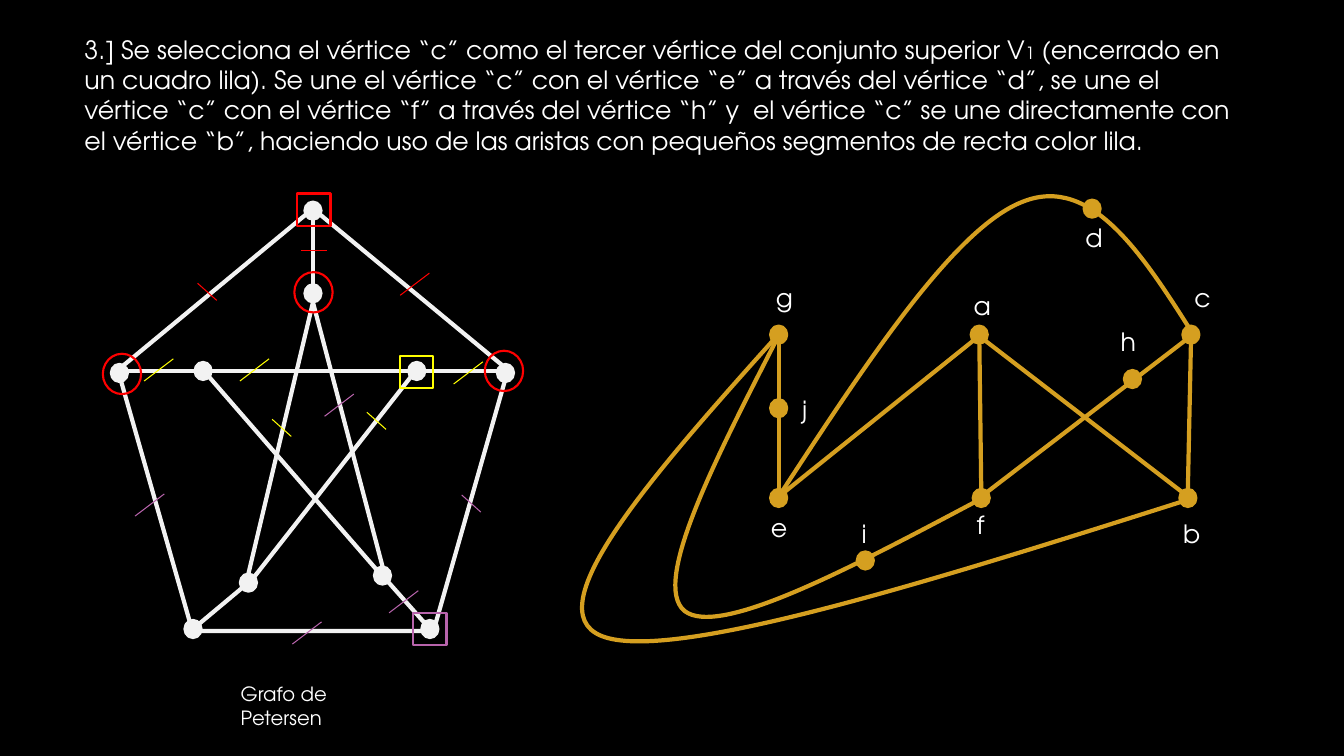
from lxml import etree
from pptx import Presentation
from pptx.dml.color import RGBColor
from pptx.enum.shapes import MSO_CONNECTOR, MSO_SHAPE
from pptx.enum.text import MSO_AUTO_SIZE
from pptx.oxml.ns import qn
from pptx.util import Inches, Pt

STRAIGHT = MSO_CONNECTOR.STRAIGHT
OVAL, SQUARE, PENTAGON = MSO_SHAPE.OVAL, MSO_SHAPE.RECTANGLE, MSO_SHAPE.REGULAR_PENTAGON
FIT = MSO_AUTO_SIZE.SHAPE_TO_FIT_TEXT

THEME = {
    "font": "TeX Gyre Adventor",
    "black": "000000", "white": "FFFFFF", "pale": "F2F2F2", "gold": "D59F20",
    "red": "FF0000", "yellow": "FFFF00", "lilac": "B864AC",
    "body": 18, "small": 14, "subscript": 12,
    "edge": 3, "outline": 1.5, "tick": 0.75,
}

# Content
STEP_TEXT = [
    ("3.] Se selecciona el vértice “c” como el tercer vértice del conjunto superior V", "body"),
    ("1", "subscript"),
    (" (encerrado en un cuadro lila). Se une el vértice “c” con el vértice “e” a través del "
     "vértice “d”, se une el vértice “c” con el vértice “f” a través del vértice “h” y  el "
     "vértice “c” se une directamente con el vértice “b”, haciendo uso de las aristas con "
     "pequeños segmentos de recta color lila.", "body"),
]
CAPTION = [("Grafo de Petersen", "small")]

# Left and top of each vertex dot; the outer ring and inner star of the Petersen graph
PETERSEN = {
    "outer top": (3.02, 2), "outer left": (1.1, 3.61), "outer right": (4.93, 3.61),
    "outer low right": (4.18, 6.15), "outer low left": (1.83, 6.15),
    "inner left": (1.93, 3.59), "inner top": (3.02, 2.82), "inner right": (4.05, 3.59),
    "inner low left": (2.38, 5.69), "inner low right": (3.71, 5.62),
}
# Each edge: start vertex, side it leaves, end vertex, side it reaches
PETERSEN_EDGES = [
    ("outer top", "", "inner top", ""),
    ("outer left", "above", "inner left", ""),
    ("inner right", "", "outer right", "above"),
    ("outer low left", "", "inner low left", ""),
    ("outer low right", "", "inner low right", ""),
    ("inner left", "se", "inner low right", "nw"),
    ("inner top", "s", "inner low right", "n"),
    ("inner top", "s", "inner low left", "n"),
    ("inner left", "e", "inner right", "w"),
    ("inner right", "sw", "inner low left", "ne"),
]

BIPARTITE = {
    "a": (9.63, 3.23), "b": (11.7, 4.85), "c": (11.73, 3.23), "d": (10.75, 1.98),
    "e": (7.64, 4.85), "f": (9.65, 4.85), "g": (7.64, 3.23), "h": (11.15, 3.67),
    "i": (8.5, 5.47), "j": (7.64, 3.96),
}
BIPARTITE_EDGES = [
    ("g", "s", "e", "n"), ("a", "", "f", "n"), ("e", "ne", "a", "sw"),
    ("a", "se", "b", "nw"), ("c", "s", "b", "n"), ("f", "ne", "c", "sw"),
]
# Frame (left, top, right, bottom) and Bézier points: start, then two controls and an end per span
CURVES = [
    ((6.7, 3.32, 9.73, 6.11),
     [(7.73, 3.32), (7.1, 4.55), (6.46, 5.78), (6.79, 6.06), (7.13, 6.33), (8.43, 5.64), (9.73, 4.95)]),
    ((5.78, 3.31, 11.81, 6.36),
     [(7.73, 3.31), (6.51, 4.67), (5.29, 6.04), (5.97, 6.31), (6.65, 6.58), (9.23, 5.77), (11.81, 4.95)]),
    ((7.73, 1.94, 11.83, 4.92),
     [(7.73, 4.92), (8.6, 3.59), (9.47, 2.26), (10.15, 2), (10.83, 1.73), (11.34, 2.53), (11.84, 3.32)]),
]
# Label boxes: left, top, width
LABELS = {
    "a": (9.56, 2.83, 0.32), "b": (11.64, 5.09, 0.34), "c": (11.75, 2.75, 0.31),
    "d": (10.67, 2.16, 0.34), "e": (7.55, 5.03, 0.33), "f": (9.59, 5, 0.28),
    "g": (7.6, 2.75, 0.32), "h": (11.02, 3.19, 0.34), "i": (8.45, 5.09, 0.26),
    "j": (7.86, 3.86, 0.26),
}

# Marks on the Petersen graph, by left and top
SQUARES = {"red": (2.95, 1.92), "yellow": (3.97, 3.53), "lilac": (4.1, 6.08)}
CIRCLES = [(1.02, 3.51), (2.92, 2.7), (4.81, 3.48)]
# Tick marks, by left end
TICKS = {
    ("red", "rising"): [(3.97, 2.93)],
    ("red", "falling"): [(1.96, 2.81)],
    ("red", "level"): [(2.99, 2.49)],
    ("yellow", "rising"): [(4.5, 3.81), (1.43, 3.78), (2.38, 3.78)],
    ("yellow", "falling"): [(3.64, 4.09), (2.7, 4.16)],
    ("lilac", "rising"): [(1.34, 5.12), (2.9, 6.39), (3.22, 4.13), (3.86, 6.08)],
    ("lilac", "falling"): [(4.58, 4.91)],
}
TICK_SPAN = {"rising": (0.29, -0.22), "falling": (0.19, 0.17), "level": (0.25, 0)}

DOT, SQUARE_SIZE, CIRCLE_SIZE = (0.17, 0.18), (0.33, 0.32), (0.38, 0.4)
SIDES = {"": (0, 0), "n": (0, -0.09), "s": (0, 0.09), "e": (0.09, 0), "w": (-0.09, 0),
         "ne": (0.06, -0.06), "nw": (-0.06, -0.06), "se": (0.06, 0.06), "sw": (-0.06, 0.06),
         "above": (0, -0.02)}


def color(name):
    return RGBColor.from_string(THEME[name])


def add_text(page, runs, left, top, width, height, wrap=True):
    box = page.shapes.add_textbox(Inches(left), Inches(top), Inches(width), Inches(height))
    box.text_frame.word_wrap = wrap
    box.text_frame.auto_size = FIT
    para = box.text_frame.paragraphs[0]
    for text, size in runs:
        span = para.add_run()
        span.text = text
        span.font.name = THEME["font"]
        span.font.size = Pt(THEME[size])
        span.font.color.rgb = color("white")


def style_shape(shape, line, weight, fill=None):
    shape.shadow.inherit = False
    shape.line.color.rgb = color(line)
    shape.line.width = Pt(THEME[weight])
    if fill:
        shape.fill.solid()
        shape.fill.fore_color.rgb = color(fill)
    else:
        shape.fill.background()


def add_figure(holder, kind, corner, size, line, weight="outline", fill=None):
    shape = holder.shapes.add_shape(kind, *map(Inches, (*corner, *size)))
    style_shape(shape, line, weight, fill)


def add_line(holder, start, end, line, weight="edge"):
    connector = holder.shapes.add_connector(STRAIGHT, *map(Inches, (*start, *end)))
    connector.line.color.rgb = color(line)
    connector.line.width = Pt(THEME[weight])
    etree.SubElement(connector._element.spPr, qn("a:effectLst"))


def add_graph(holder, vertices, edges, tone):
    for corner in vertices.values():
        add_figure(holder, OVAL, corner, DOT, tone, fill=tone)
    for first, leave, second, reach in edges:
        ends = [[edge + size / 2 + shift
                 for edge, size, shift in zip(vertices[vertex], DOT, SIDES[side])]
                for vertex, side in ((first, leave), (second, reach))]
        add_line(holder, *ends, tone)


def add_curve(page, frame, points):
    left, top, right, bottom = map(Inches, frame)
    builder = page.shapes.build_freeform(left, top)
    builder.add_line_segments([(right, bottom)], close=False)
    shape = builder.convert_to_shape()
    style_shape(shape, "gold", "edge")

    # Swap the frame's diagonal for the Bézier spans
    outline = next(shape._element.iter(qn("a:path")))
    for step in list(outline):
        outline.remove(step)
    spans = [("a:moveTo", points[:1])]
    spans += [("a:cubicBezTo", points[i:i + 3]) for i in range(1, len(points), 3)]
    for tag, stops in spans:
        step = etree.SubElement(outline, qn(tag))
        for x, y in stops:
            etree.SubElement(step, qn("a:pt"), x=str(Inches(x) - left), y=str(Inches(y) - top))


def main():
    deck = Presentation()
    deck.slide_width, deck.slide_height = Inches(40 / 3), Inches(7.5)
    page = deck.slides.add_slide(deck.slide_layouts[6])
    page.background.fill.solid()
    page.background.fill.fore_color.rgb = color("black")

    # Petersen graph
    group = page.shapes.add_group_shape()
    add_graph(group, PETERSEN, PETERSEN_EDGES, "pale")
    add_figure(group, PENTAGON, (1.17, 2.07), (3.87, 4.19), "pale", "edge")

    # Text
    add_text(page, STEP_TEXT, 0.74, 0.29, 11.76, 1.31)
    add_text(page, CAPTION, 2.29, 6.72, 1.63, 0.34)

    # Marks on chosen vertices and edges
    for tone, corner in SQUARES.items():
        add_figure(page, SQUARE, corner, SQUARE_SIZE, tone)
    for corner in CIRCLES:
        add_figure(page, OVAL, corner, CIRCLE_SIZE, "red")
    for (tone, slant), starts in TICKS.items():
        dx, dy = TICK_SPAN[slant]
        for x, y in starts:
            add_line(page, (x, y), (x + dx, y + dy), tone, "tick")

    # Redrawn graph with its labels
    add_graph(page, BIPARTITE, BIPARTITE_EDGES, "gold")
    for frame, points in CURVES:
        add_curve(page, frame, points)
    for letter, (left, top, width) in LABELS.items():
        add_text(page, [(letter, "body")], left, top, width, 0.4, wrap=False)

    deck.save("out.pptx")


if __name__ == "__main__":
    main()
